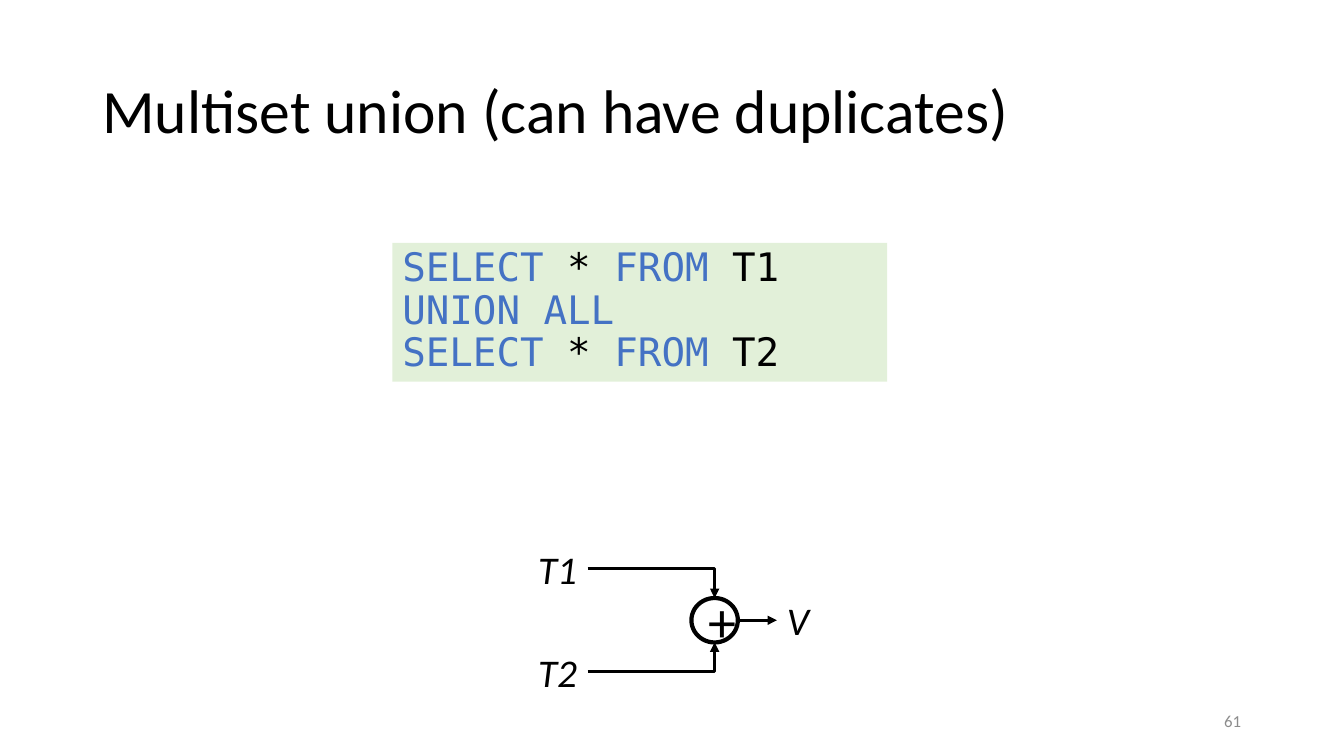
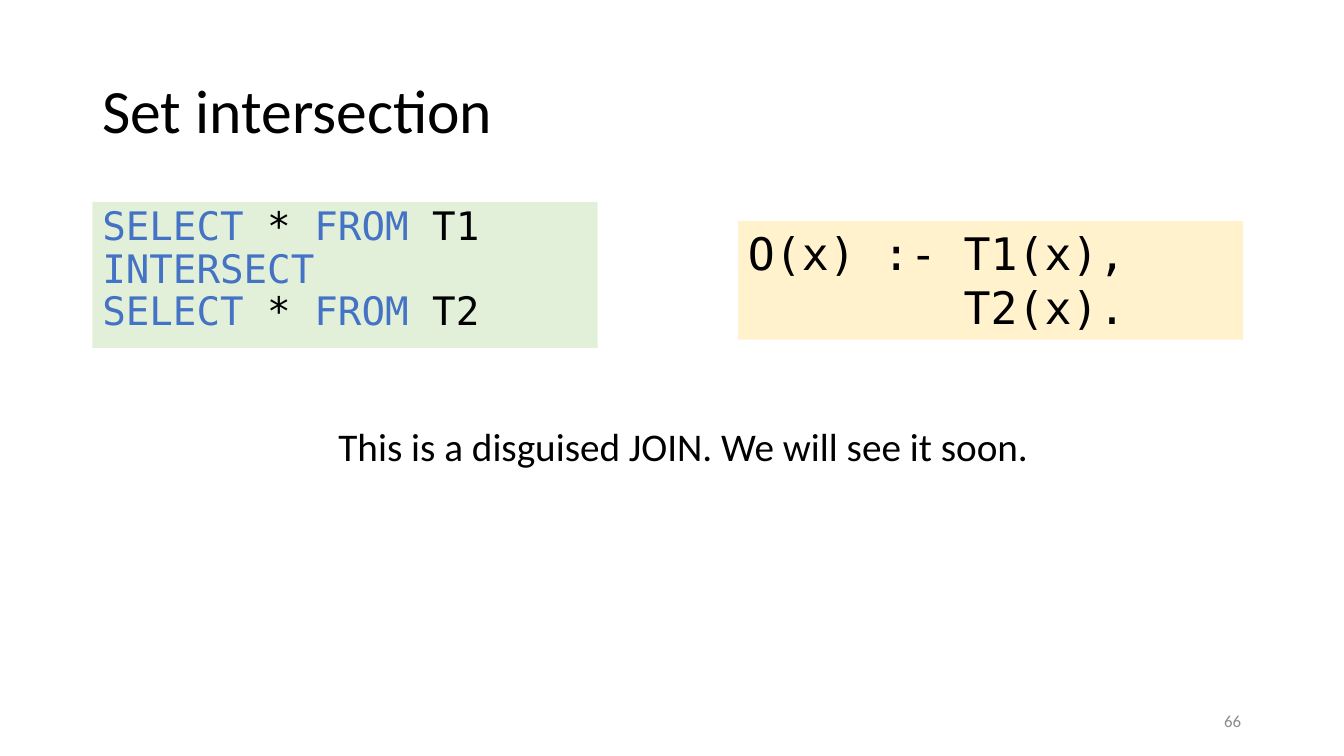
from dataclasses import dataclass

from lxml.etree import SubElement
from pptx import Presentation
from pptx.dml.color import RGBColor as Rgb
from pptx.enum.shapes import MSO_CONNECTOR as Connector, MSO_SHAPE as Preset
from pptx.enum.text import MSO_ANCHOR as Anchor, PP_ALIGN as Align
from pptx.oxml.ns import qn
from pptx.util import Cm, Pt


@dataclass(frozen=True)
class Theme:
    text: Rgb = Rgb.from_string("000000")
    keyword: Rgb = Rgb.from_string("4472C4")
    muted: Rgb = Rgb.from_string("8C8C8C")
    paper: Rgb = Rgb.from_string("FFFFFF")
    sql_fill: Rgb = Rgb.from_string("E2F0D9")
    datalog_fill: Rgb = Rgb.from_string("FFF2CC")
    body_font: str = "Calibri"
    code_font: str = "DejaVu Sans Mono"
    title_size: int = 44
    operator_size: int = 40
    datalog_size: int = 32
    body_size: int = 28
    number_size: int = 12
    tight: float = 0.9
    outline: float = 3
    arrow: float = 2.25


THEME = Theme()


def style(paragraph, size, color=THEME.text, name=THEME.body_font, italic=None):
    font = paragraph.font
    font.size, font.name, font.italic = Pt(size), name, italic
    font.color.rgb = color


def add_text(slide, box, text, size, color=THEME.text, italic=None,
             wrap=False, anchor=Anchor.TOP, align=Align.LEFT, spacing=None):
    frame = slide.shapes.add_textbox(*map(Cm, box)).text_frame
    frame.word_wrap = wrap
    frame.vertical_anchor = anchor
    paragraph = frame.paragraphs[0]
    paragraph.text = text
    paragraph.alignment = align
    paragraph.line_spacing = spacing
    style(paragraph, size, color, italic=italic)


def add_shape(slide, preset, box, fill, anchor, align):
    shape = slide.shapes.add_shape(preset, *map(Cm, box))
    shape.shadow.inherit = False
    shape.fill.solid()
    shape.fill.fore_color.rgb = fill
    shape.line.fill.background()
    frame = shape.text_frame
    frame.word_wrap = True
    frame.vertical_anchor = anchor
    frame.paragraphs[0].alignment = align
    return shape


def add_code(slide, box, lines, fill, size, spacing=None):
    shape = add_shape(slide, Preset.RECTANGLE, box, fill, Anchor.TOP, Align.LEFT)
    paragraph = shape.text_frame.paragraphs[0]
    paragraph.line_spacing = spacing
    style(paragraph, size, name=THEME.code_font)
    for index, line in enumerate(lines):
        if index:
            paragraph.add_line_break()
        for text, color in line:
            run = paragraph.add_run()
            run.text = text
            run.font.color.rgb = color


def add_sql(slide, box, operator):
    def select(table):
        return [("SELECT", THEME.keyword), (" * ", THEME.text),
                ("FROM", THEME.keyword), (f" {table}", THEME.text)]

    lines = [select("T1"), [(operator, THEME.keyword)], select("T2")]
    add_code(slide, box, lines, THEME.sql_fill, THEME.body_size, THEME.tight)


def add_arrow(slide, start, end, bent=False):
    kind = Connector.ELBOW if bent else Connector.STRAIGHT
    connector = slide.shapes.add_connector(kind, *map(Cm, start + end))
    connector.line.color.rgb = THEME.text
    connector.line.width = Pt(THEME.arrow)
    properties = connector._element.spPr
    if bent:
        properties.find(qn("a:prstGeom")).set("prst", "bentConnector2")
    SubElement(properties.find(qn("a:ln")), qn("a:tailEnd"), type="triangle")
    SubElement(properties, qn("a:effectLst"))


def add_union_diagram(slide):
    center_x, center_y = 18.01, 15.63
    width, height = 1.17, 1.12
    label_left, label_width, label_height = 13.31, 1.5, 1.45
    output_left, row_offset = 19.58, 1.3

    circle = add_shape(
        slide, Preset.OVAL,
        (center_x - width / 2, center_y - height / 2, width, height),
        THEME.paper, Anchor.MIDDLE, Align.CENTER)
    circle.line.color.rgb = THEME.text
    circle.line.width = Pt(THEME.outline)
    paragraph = circle.text_frame.paragraphs[0]
    paragraph.text = "+"
    style(paragraph, THEME.operator_size)

    def add_label(text, left, middle, label_width):
        box = (left, middle - label_height / 2, label_width, label_height)
        add_text(slide, box, text, THEME.body_size, italic=True)

    for text, side in (("T1", -1), ("T2", 1)):
        row = center_y + side * row_offset
        add_label(text, label_left, row, label_width)
        add_arrow(slide, (label_left + label_width, row),
                  (center_x, center_y + side * height / 2), bent=True)
    add_label("V", output_left, center_y, 1.07)
    add_arrow(slide, (center_x + width / 2, center_y), (output_left, center_y))


def add_slide(presentation, title, number):
    slide = presentation.slides.add_slide(presentation.slide_layouts[6])
    add_text(slide, (2.33, 1.02, 29.21, 3.68), title, THEME.title_size,
             wrap=True, anchor=Anchor.MIDDLE, spacing=THEME.tight)
    add_text(slide, (30.03, 17.65, 1.5, 1.02), str(number), THEME.number_size,
             THEME.muted, wrap=True, anchor=Anchor.MIDDLE, align=Align.RIGHT)
    return slide


def main():
    presentation = Presentation()
    presentation.slide_width, presentation.slide_height = Cm(33.87), Cm(19.05)

    union = add_slide(presentation, "Multiset union (can have duplicates)", 61)
    add_sql(union, (9.89, 6.12, 12.47, 3.5), "UNION ALL")
    add_union_diagram(union)

    intersection = add_slide(presentation, "Set intersection", 66)
    add_sql(intersection, (2.33, 5.09, 12.73, 3.68), "INTERSECT")
    rule = [[("O(x) :- T1(x),", THEME.text)], [("        T2(x).", THEME.text)]]
    add_code(intersection, (18.6, 5.57, 12.73, 2.99), rule,
             THEME.datalog_fill, THEME.datalog_size)
    add_text(intersection, (8.28, 10.52, 18.08, 1.45),
             "This is a disguised JOIN. We will see it soon.", THEME.body_size)

    presentation.save("out.pptx")


if __name__ == "__main__":
    main()
